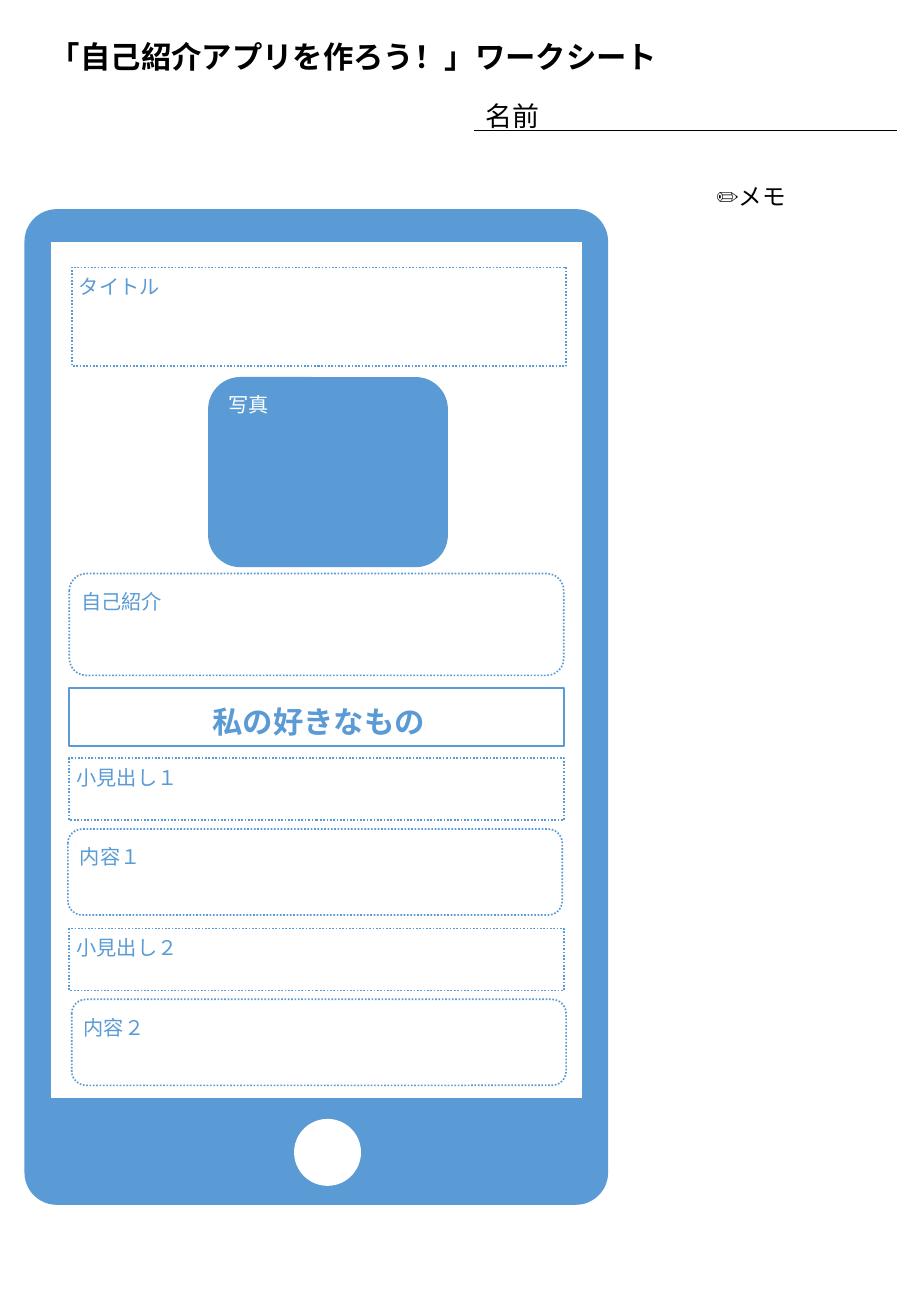
from pptx import Presentation
from pptx import util as u
from pptx.dml.color import RGBColor
from pptx.enum import dml, shapes, text
from pptx.oxml.ns import qn
from lxml import etree

FONT = "Noto Sans CJK JP"
BLUE, WHITE, BLACK = "5B9BD5", "FFFFFF", "000000"
RECT = shapes.MSO_SHAPE.RECTANGLE
ROUND = shapes.MSO_SHAPE.ROUNDED_RECTANGLE
OVAL = shapes.MSO_SHAPE.OVAL
FIELD_W = 10.34


def paint(color, value):
    color.rgb = RGBColor.from_string(value)


def write(sp, words, size=12, color=BLUE, bold=False):
    tf = sp.text_frame
    tf.word_wrap = False
    tf.auto_size = text.MSO_AUTO_SIZE.NONE
    tf.vertical_anchor = text.MSO_ANCHOR.TOP
    p = tf.paragraphs[0]
    p.alignment = text.PP_ALIGN.LEFT
    r = p.add_run()
    r.text = words
    r.font.size = u.Pt(size)
    r.font.bold = bold
    r.font.name = FONT
    paint(r.font.color, color)
    ea = etree.SubElement(r._r.get_or_add_rPr(), qn("a:ea"))
    ea.set("typeface", FONT)


def add_label(s, words, x, y, w, h=0.76, **look):
    sp = s.shapes.add_textbox(u.Cm(x), u.Cm(y), u.Cm(w), u.Cm(h))
    write(sp, words, **look)


def add_box(s, kind, x, y, w, h, fill=None, line=BLUE, dotted=False, corner=None):
    sp = s.shapes.add_shape(kind, u.Cm(x), u.Cm(y), u.Cm(w), u.Cm(h))
    sp.shadow.inherit = False
    if corner is not None:
        sp.adjustments[0] = corner
    if fill:
        sp.fill.solid()
        paint(sp.fill.fore_color, fill)
    else:
        sp.fill.background()
    if line:
        paint(sp.line.color, line)
        sp.line.width = u.Pt(1)
    else:
        sp.line.fill.background()
    if dotted:
        sp.line.dash_style = dml.MSO_LINE.ROUND_DOT


def add_field(s, kind, words, x, y, h, label_w):
    add_box(s, kind, x, y, FIELD_W, h, dotted=True)
    dx, dy = (0, 0.2) if kind == ROUND else (-0.1, 0.02)
    add_label(s, words, x + dx, y + dy, label_w)


def add_rule(s, x1, x2, y):
    c = s.shapes.add_connector(shapes.MSO_CONNECTOR.STRAIGHT,
                               u.Cm(x1), u.Cm(y), u.Cm(x2), u.Cm(y))
    paint(c.line.color, BLACK)
    c.line.width = u.Pt(0.5)
    etree.SubElement(c._element.spPr, qn("a:effectLst"))


def add_title(s, words, x, y, w, h):
    sp = s.shapes.title
    sp.left, sp.top, sp.width, sp.height = (u.Cm(v) for v in (x, y, w, h))
    write(sp, words, size=18, color=BLACK, bold=True)


def add_phone(s):
    add_box(s, ROUND, 0.53, 4.39, 12.17, 20.78, fill=BLUE, corner=0.054)
    add_box(s, RECT, 1.04, 5.05, 11.15, 17.93, fill=WHITE)
    add_box(s, OVAL, 6.15, 23.39, 1.4, 1.4, fill=WHITE, line=None)


def main():
    prs = Presentation()
    prs.slide_width, prs.slide_height = u.Cm(19.05), u.Cm(27.51)
    s = prs.slides.add_slide(prs.slide_layouts[5])

    add_title(s, "「自己紹介アプリを作ろう！」ワークシート", 0.79, 0.66, 13.34, 1.02)
    add_label(s, "名前", 9.91, 1.96, 1.65, 0.94, size=16, color=BLACK)
    add_rule(s, 9.91, 18.75, 2.72)
    add_label(s, "✏️メモ", 14.73, 3.68, 2.01, 0.86, size=14, color=BLACK)

    add_phone(s)
    add_field(s, RECT, "タイトル", 1.5, 5.59, 2.06, 2.24)
    add_box(s, ROUND, 4.37, 7.9, 4.98, 3.94, fill=BLUE)
    add_label(s, "写真", 4.52, 8.08, 1.37, color=WHITE)
    add_field(s, ROUND, "自己紹介", 1.45, 11.99, 2.13, 2.24)
    add_box(s, RECT, 1.45, 14.38, FIELD_W, 1.22)
    add_label(s, "私の好きなもの", 4.19, 14.58, 5, 1.02, size=18, bold=True)
    for number, y, content_x in (("１", 15.85, 1.42), ("２", 19.41, 1.5)):
        add_field(s, RECT, "小見出し" + number, 1.45, y, 1.3, 2.64)
        add_field(s, ROUND, "内容" + number, content_x, y + 1.48, 1.8, 1.8)

    prs.save("out.pptx")


main()
